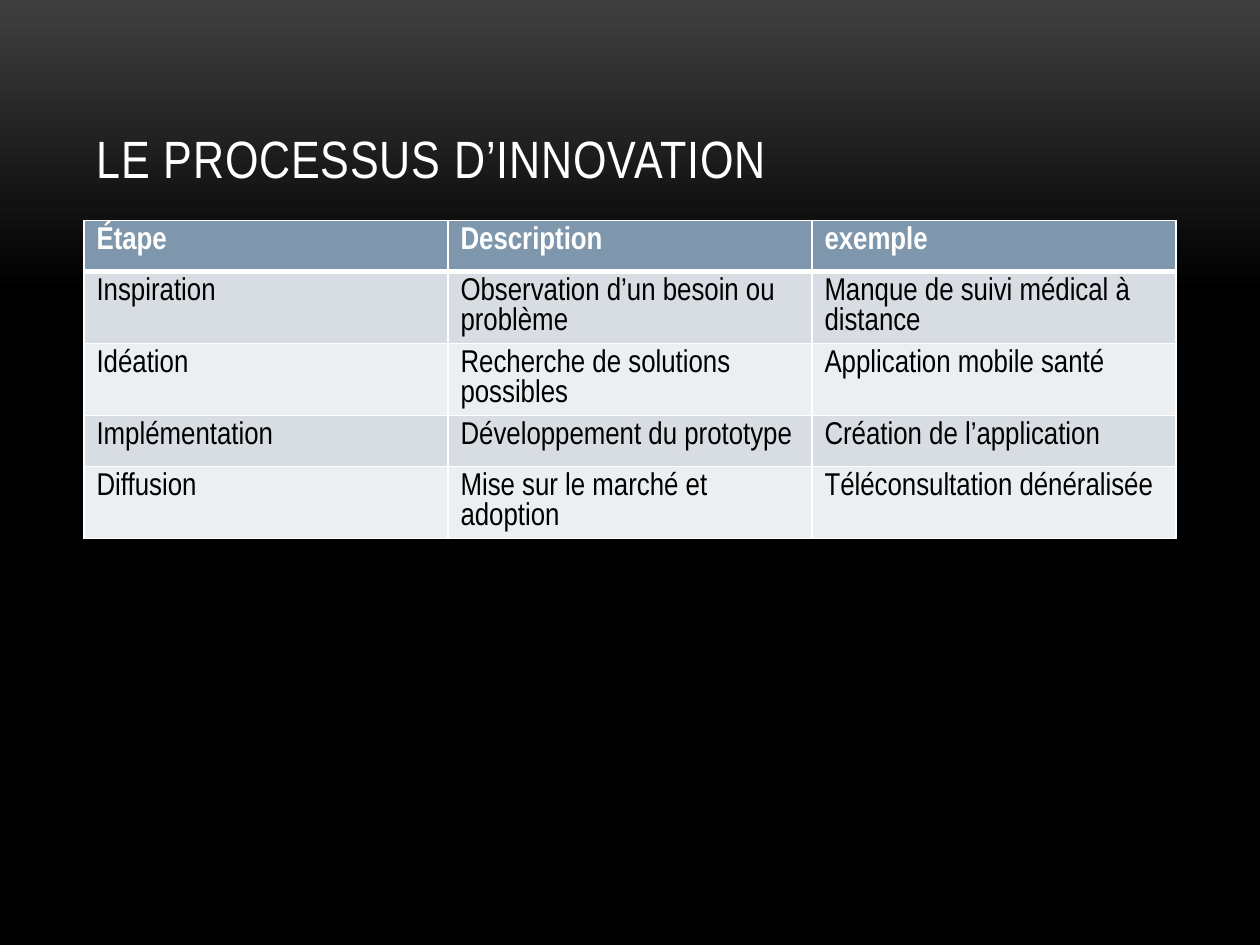
import pptx
import pptx.dml.color
import pptx.enum.text
import pptx.oxml
import pptx.oxml.ns
import pptx.util

Pt = pptx.util.Pt
FONT = "Arial Narrow"
HUES = {
    "white": "FFFFFF",
    "black": "000000",
    "grey": "3F3F3F",
    "head": "7E97AD",
    "odd": "D8DDE3",
    "even": "ECEFF1",
}
STEPS = [
    ("Étape", "Description", "exemple"),
    ("Inspiration", "Observation d’un besoin ou problème",
     "Manque de suivi médical à distance"),
    ("Idéation", "Recherche de solutions possibles", "Application mobile santé"),
    ("Implémentation", "Développement du prototype", "Création de l’application"),
    ("Diffusion", "Mise sur le marché et adoption", "Téléconsultation dénéralisée"),
]
LEFT, WIDTH = 48, 624


def rgb(name):
    return pptx.dml.color.RGBColor.from_string(HUES[name])


def style(run, size, hue, bold=False):
    run.font.name = FONT
    run.font.size = Pt(size)
    run.font.bold = bold
    run.font.color.rgb = rgb(hue)


def paint_back(slide):
    fill = slide.background.fill
    fill.gradient()
    fill.gradient_angle = 270
    for stop, (place, hue) in zip(fill.gradient_stops, [(0, "grey"), (0.31, "black")]):
        stop.position = place
        stop.color.rgb = rgb(hue)


def add_title(slide, text):
    title = slide.shapes.title
    title.left, title.top = Pt(LEFT), Pt(21.6)
    title.width, title.height = Pt(WIDTH), Pt(90)
    frame = title.text_frame
    frame.text = text
    frame.word_wrap = True
    frame.auto_size = pptx.enum.text.MSO_AUTO_SIZE.NONE
    frame.vertical_anchor = pptx.enum.text.MSO_ANCHOR.BOTTOM
    line = frame.paragraphs[0]
    line.alignment = pptx.enum.text.PP_ALIGN.LEFT
    run = line.runs[0]
    style(run, 30, "white")
    run.font._element.set("spc", "50")


def add_edges(cell, **widths):
    """Draw white borders; keys L, R, T and B give widths in points."""
    props = cell._tc.get_or_add_tcPr()
    space = pptx.oxml.ns.nsdecls("a")
    for side, width in widths.items():
        props.append(pptx.oxml.parse_xml(
            f'<a:ln{side} {space} w="{Pt(width)}"><a:solidFill>'
            f'<a:srgbClr val="{HUES["white"]}"/></a:solidFill></a:ln{side}>'))


def fill_cell(cell, text, row):
    head = row == 0
    add_edges(cell, L=1, R=1, T=3 if row == 1 else 1, B=3 if head else 1)
    cell.fill.solid()
    cell.fill.fore_color.rgb = rgb("head" if head else "odd" if row % 2 else "even")
    cell.text_frame.text = text
    run = cell.text_frame.paragraphs[0].runs[0]
    style(run, 18, "white" if head else "black", head)


def add_steps(slide):
    rows, cols = len(STEPS), len(STEPS[0])
    high = 29.2
    table = slide.shapes.add_table(
        rows, cols, Pt(LEFT), Pt(126), Pt(WIDTH), Pt(high * rows)).table
    for col in table.columns:
        col.width = Pt(WIDTH / cols)
    for r, step in enumerate(STEPS):
        table.rows[r].height = Pt(high)
        for c, text in enumerate(step):
            fill_cell(table.cell(r, c), text, r)


def main():
    deck = pptx.Presentation()
    deck.slide_width, deck.slide_height = Pt(720), Pt(540)
    slide = deck.slides.add_slide(deck.slide_layouts.get_by_name("Title Only"))
    paint_back(slide)
    add_title(slide, "LE PROCESSUS D’INNOVATION")
    add_steps(slide)
    deck.save("out.pptx")


if __name__ == "__main__":
    main()
